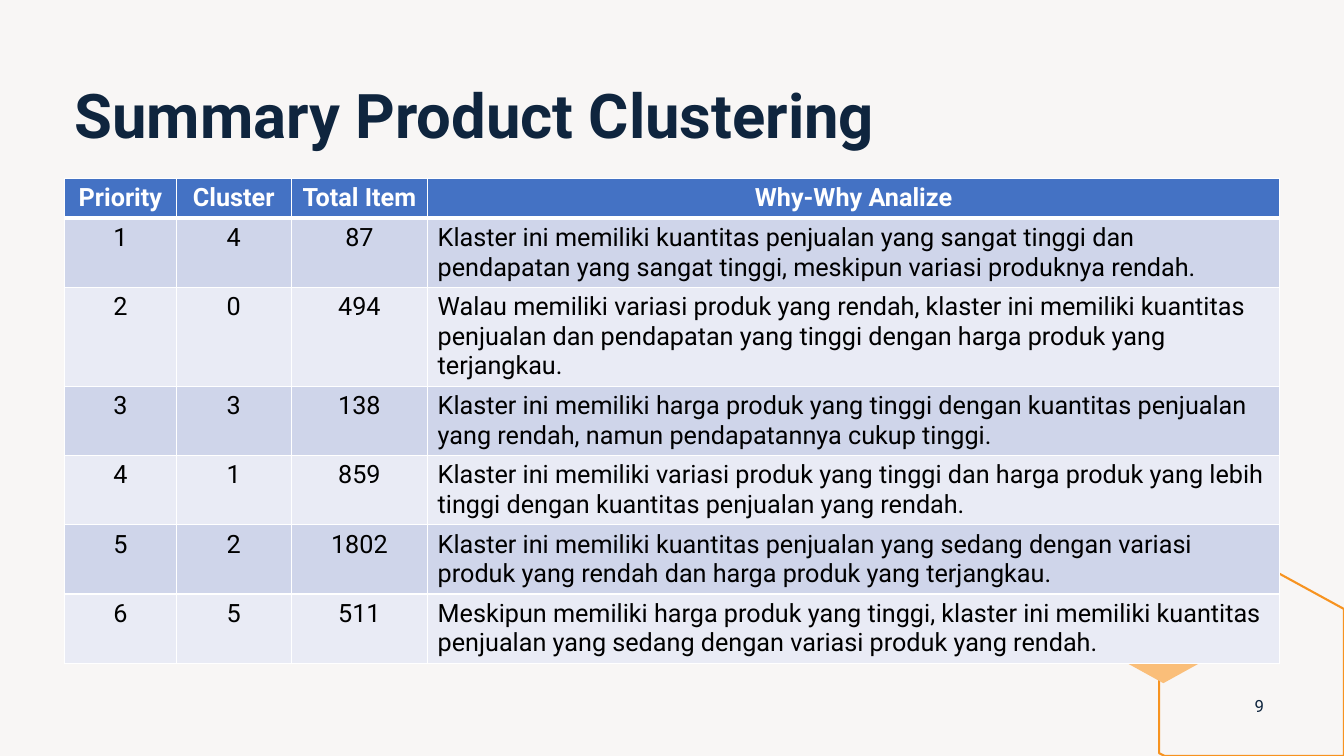
"""Build the product clustering summary slide."""
from lxml.etree import SubElement
from pptx import Presentation
from pptx.dml.color import RGBColor
from pptx.enum.text import MSO_ANCHOR as Anchor, PP_ALIGN as Align
from pptx.oxml.ns import qn
from pptx.util import Pt

NAVY = RGBColor(0x0F, 0x25, 0x3E)
WHITE = RGBColor(0xFF, 0xFF, 0xFF)
BLACK = RGBColor(0, 0, 0)
PAPER = RGBColor(0xF8, 0xF6, 0xF5)
ORANGE = RGBColor(0xF7, 0x93, 0x20)
PEACH = RGBColor(0xFA, 0xBE, 0x79)
HEADER_BLUE = RGBColor(0x44, 0x72, 0xC4)
BANDS = [RGBColor(0xE9, 0xEB, 0xF5), RGBColor(0xCF, 0xD5, 0xEA)]

HEADINGS = ("Priority", "Cluster", "Total Item", "Why-Why Analize")
CLUSTERS = [
    ("1", "4", "87", "Klaster ini memiliki kuantitas penjualan yang sangat tinggi dan "
     "pendapatan yang sangat tinggi, meskipun variasi produknya rendah."),
    ("2", "0", "494", "Walau memiliki variasi produk yang rendah, klaster ini memiliki kuantitas "
     "penjualan dan pendapatan yang tinggi dengan harga produk yang terjangkau."),
    ("3", "3", "138", "Klaster ini memiliki harga produk yang tinggi dengan kuantitas penjualan "
     "yang rendah, namun pendapatannya cukup tinggi."),
    ("4", "1", "859", "Klaster ini memiliki variasi produk yang tinggi dan harga produk yang lebih "
     "tinggi dengan kuantitas penjualan yang rendah."),
    ("5", "2", "1802", "Klaster ini memiliki kuantitas penjualan yang sedang dengan variasi "
     "produk yang rendah dan harga produk yang terjangkau."),
    ("6", "5", "511", "Meskipun memiliki harga produk yang tinggi, klaster ini memiliki kuantitas "
     "penjualan yang sedang dengan variasi produk yang rendah."),
]
COLUMN_WIDTHS = (80, 82, 97.5, 608.5)
LINES_PER_ROW = (1, 2, 3, 2, 2, 2, 2)
LINE_HEIGHT, CELL_PADDING = 21.1, 7.2


def write(frame, text, align, color, **font_format):
    frame.text = text
    paragraph = frame.paragraphs[0]
    paragraph.alignment = align
    font = paragraph.runs[0].font
    font.color.rgb = color
    for attribute, value in {"name": "Roboto", "bold": False, **font_format}.items():
        setattr(font, attribute, value)
    return paragraph


def outline(points):
    builder = slide.shapes.build_freeform(*points[0], scale=Pt(1))
    builder.add_line_segments(points[1:], close=True)
    polygon = builder.convert_to_shape()
    polygon.shadow.inherit = False
    return polygon


deck = Presentation()
deck.slide_width, deck.slide_height = Pt(960), Pt(540)
slide = deck.slides.add_slide(deck.slide_layouts[5])
slide.background.fill.solid()
slide.background.fill.fore_color.rgb = PAPER

large_hexagon = outline([(907, 405.5), (960, 435), (960, 540), (832.5, 540), (828.5, 538), (828.5, 450)])
large_hexagon.fill.background()
large_hexagon.line.color.rgb = ORANGE
large_hexagon.line.width = Pt(1.5)

small_hexagon = outline([(831, 421), (860.5, 438), (860.5, 471.5), (831, 488.5), (801.5, 471.5), (801.5, 438)])
small_hexagon.fill.solid()
small_hexagon.fill.fore_color.rgb = PEACH
small_hexagon.line.fill.background()

title = slide.shapes.title
title.left, title.top, title.width, title.height = Pt(46), Pt(57), Pt(857.5), Pt(111.5)
title.text_frame.vertical_anchor = Anchor.TOP
heading = write(title.text_frame, "Summary Product Clustering", Align.LEFT, NAVY, size=Pt(44), bold=True)
heading.line_spacing = 0.9

row_heights = [CELL_PADDING + LINE_HEIGHT * lines for lines in LINES_PER_ROW]
summary = slide.shapes.add_table(
    len(row_heights), len(COLUMN_WIDTHS), Pt(46), Pt(127.5), Pt(sum(COLUMN_WIDTHS)), Pt(sum(row_heights))
).table
for column, width in zip(summary.columns, COLUMN_WIDTHS):
    column.width = Pt(width)
for row, height in zip(summary.rows, row_heights):
    row.height = Pt(height)

for row_number, values in enumerate([HEADINGS, *CLUSTERS]):
    is_header = row_number == 0
    for column_number, value in enumerate(values):
        cell = summary.cell(row_number, column_number)
        is_analysis = column_number == 3 and not is_header
        write(cell.text_frame, value, Align.LEFT if is_analysis else Align.CENTER,
              WHITE if is_header else BLACK, size=Pt(18), bold=is_header)
        borders = {"L": 1, "R": 1, "T": 3 if row_number == 1 else 1, "B": 3 if is_header else 1}
        for side, thickness in borders.items():
            edge = SubElement(cell._tc.get_or_add_tcPr(), qn(f"a:ln{side}"), w=str(Pt(thickness)))
            SubElement(SubElement(edge, qn("a:solidFill")), qn("a:srgbClr"), val=str(WHITE))
        cell.fill.solid()
        cell.fill.fore_color.rgb = HEADER_BLUE if is_header else BANDS[row_number % 2]

page_number = slide.shapes.add_textbox(Pt(881.5), Pt(489.5), Pt(36), Pt(29)).text_frame
page_number.word_wrap = True
page_number.vertical_anchor = Anchor.MIDDLE
write(page_number, "9", Align.CENTER, NAVY, size=Pt(12))

deck.save("out.pptx")
